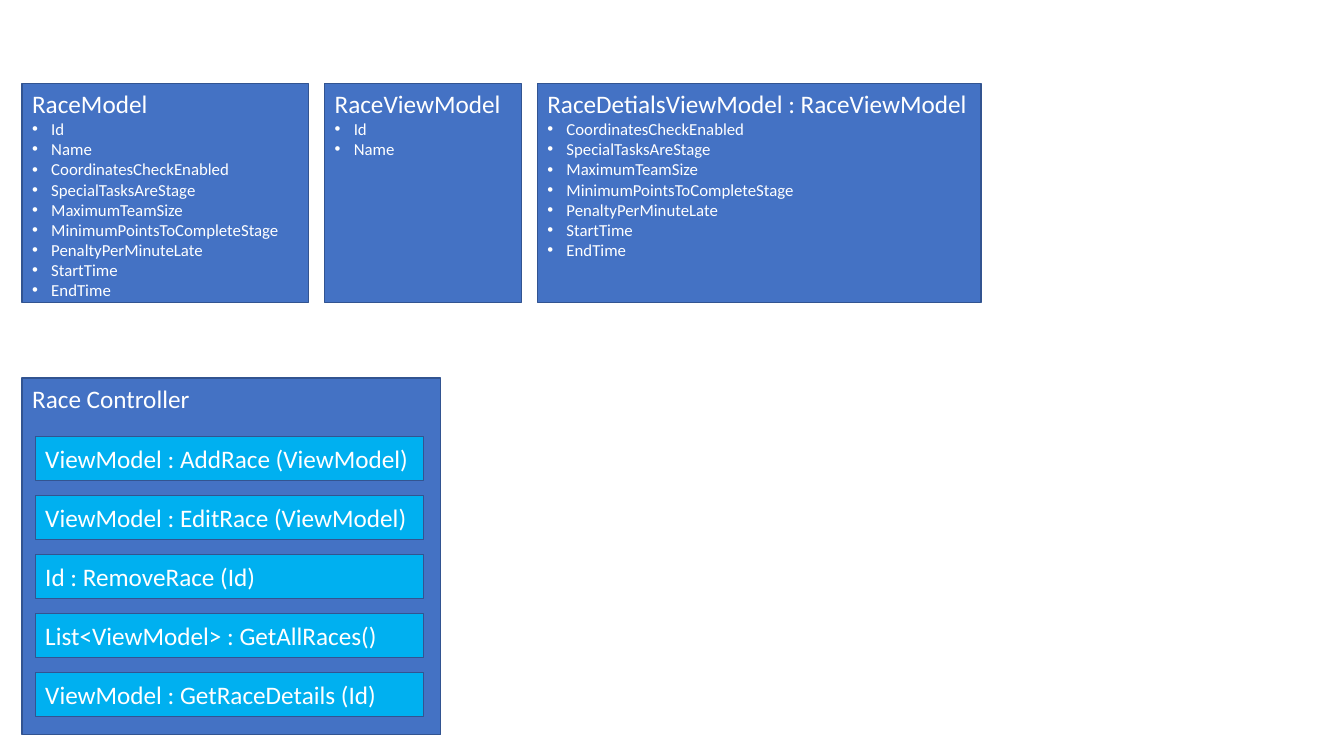
from lxml.etree import SubElement
from pptx import Presentation
from pptx.dml.color import RGBColor
from pptx.enum.shapes import MSO_SHAPE
from pptx.enum.text import MSO_ANCHOR, PP_ALIGN
from pptx.oxml.ns import qn
from pptx.util import Inches, Pt

# Content
BASIC_FIELDS = ["Id", "Name"]
DETAIL_FIELDS = [
    "CoordinatesCheckEnabled",
    "SpecialTasksAreStage",
    "MaximumTeamSize",
    "MinimumPointsToCompleteStage",
    "PenaltyPerMinuteLate",
    "StartTime",
    "EndTime",
]
MODELS = [  # heading, fields, box width
    ("RaceModel", BASIC_FIELDS + DETAIL_FIELDS, 2.84),
    ("RaceViewModel", BASIC_FIELDS, 1.95),
    ("RaceDetialsViewModel : RaceViewModel", DETAIL_FIELDS, 4.4),
]
CONTROLLER = "Race Controller"
ACTIONS = [
    "ViewModel : AddRace (ViewModel)",
    "ViewModel : EditRace (ViewModel)",
    "Id : RemoveRace (Id)",
    "List<ViewModel> : GetAllRaces()",
    "ViewModel : GetRaceDetails (Id)",
]

# Style and layout, in inches
COLORS = {"box": "4472C4", "action": "00B0F0", "line": "325491", "text": "FFFFFF"}
FONT = "Calibri"
LEFT = 0.22
MODEL_TOP, MODEL_HEIGHT, MODEL_GAP = 0.83, 2.17, 0.16
ACTION_LEFT, ACTION_TOP, ACTION_PITCH = 0.35, 4.33, 0.585
BULLET_INDENT = Inches(0.19)


def color(name):
    return RGBColor.from_string(COLORS[name])


def write_text(paragraph, text, size=18, bullet=False):
    paragraph.alignment = PP_ALIGN.LEFT
    run = paragraph.add_run()
    run.text = text
    run.font.name = FONT
    run.font.size = Pt(size)
    run.font.color.rgb = color("text")
    if bullet:
        properties = paragraph._p.get_or_add_pPr()
        properties.set("marL", str(BULLET_INDENT))
        properties.set("indent", str(-BULLET_INDENT))
        SubElement(properties, qn("a:buFont"), typeface="Arial")
        SubElement(properties, qn("a:buChar"), char="•")


def add_box(slide, left, top, width, height, heading, fields=(),
            fill="box", anchor=MSO_ANCHOR.TOP):
    shape = slide.shapes.add_shape(
        MSO_SHAPE.RECTANGLE, Inches(left), Inches(top), Inches(width), Inches(height))
    shape.shadow.inherit = False
    shape.fill.solid()
    shape.fill.fore_color.rgb = color(fill)
    shape.line.color.rgb = color("line")
    shape.line.width = Pt(1)
    frame = shape.text_frame
    frame.word_wrap = True
    frame.vertical_anchor = anchor
    write_text(frame.paragraphs[0], heading)
    for field in fields:
        write_text(frame.add_paragraph(), field, size=12, bullet=True)


def main():
    presentation = Presentation()
    presentation.slide_width = Inches(13.33)
    presentation.slide_height = Inches(7.5)
    blank_layout = presentation.slide_layouts[6]
    slide = presentation.slides.add_slide(blank_layout)

    # Controller with its stacked actions
    add_box(slide, LEFT, 3.75, 4.15, 3.54, CONTROLLER)
    for index, action in enumerate(ACTIONS):
        add_box(slide, ACTION_LEFT, ACTION_TOP + index * ACTION_PITCH, 3.85, 0.44,
                action, fill="action", anchor=MSO_ANCHOR.MIDDLE)

    # Row of models
    left = LEFT
    for heading, fields, width in MODELS:
        add_box(slide, left, MODEL_TOP, width, MODEL_HEIGHT, heading, fields)
        left += width + MODEL_GAP

    presentation.save("out.pptx")


if __name__ == "__main__":
    main()
